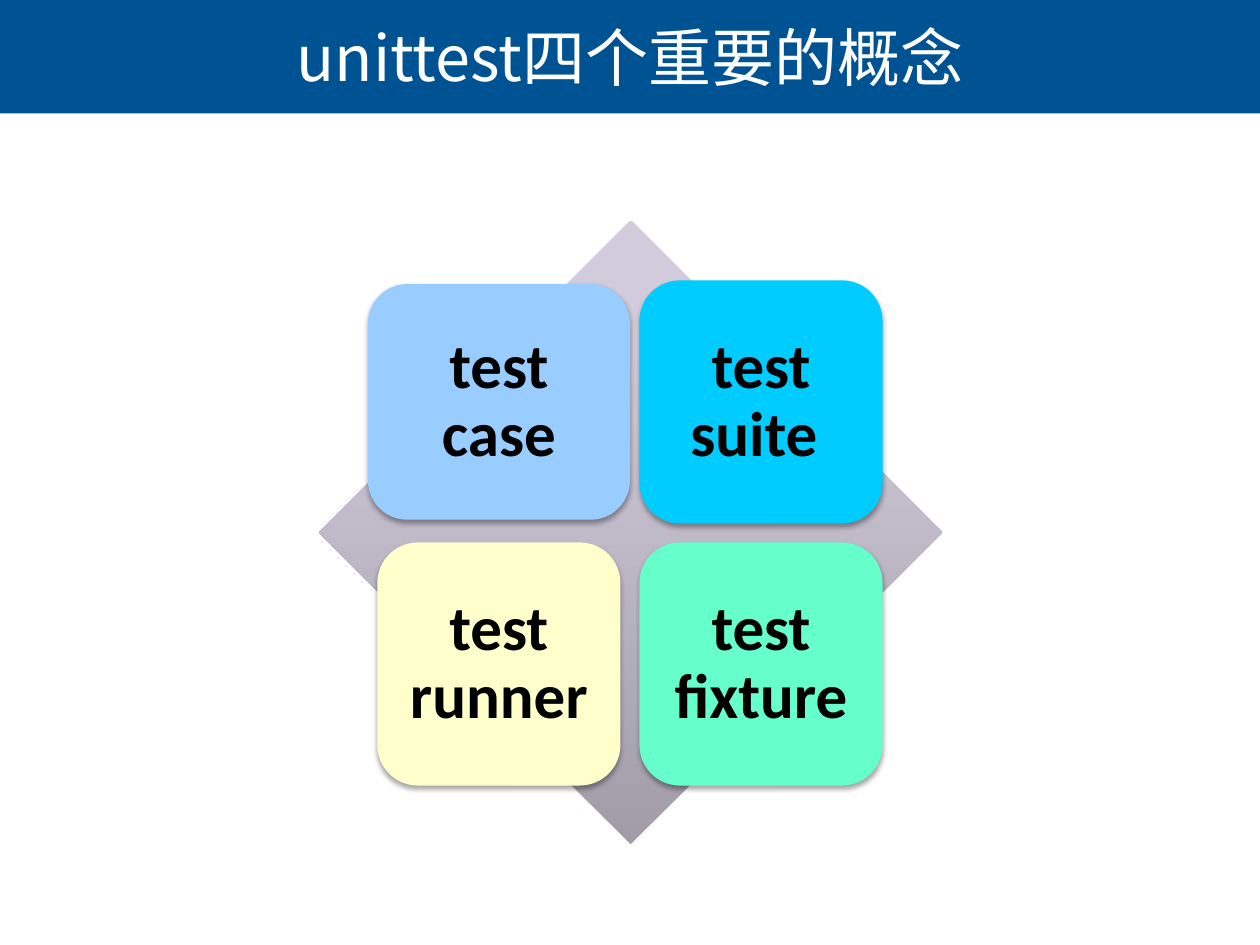
from dataclasses import dataclass

from lxml.etree import SubElement
from pptx import Presentation
from pptx.dml.color import RGBColor
from pptx.enum.shapes import MSO_SHAPE
from pptx.enum.text import MSO_ANCHOR, PP_ALIGN
from pptx.oxml.ns import qn
from pptx.util import Inches, Pt


@dataclass(frozen=True)
class Theme:
    banner: str = "005392"
    title: str = "FFFFFF"
    ink: str = "000000"
    diamond_dark: str = "A19CA8"
    diamond_light: str = "D1CBDB"
    title_font: str = "Noto Sans CJK SC"
    body_font: str = "Calibri"
    text_size: int = 36


THEME = Theme()

# Label, fill, centre x, centre y, width, height
CONCEPTS = [
    ("test case", "99CCFF", 3.96, 3.19, 2.08, 1.87),
    ("test suite ", "00CCFF", 6.04, 3.19, 1.93, 1.93),
    ("test runner ", "FFFFCC", 3.96, 5.27, 1.93, 1.93),
    ("test fixture", "66FFCC", 6.04, 5.27, 1.93, 1.93),
]


def add_plain_shape(s, kind, left, top, width, height, color=None):
    sp = s.shapes.add_shape(kind, Inches(left), Inches(top), Inches(width), Inches(height))
    sp.shadow.inherit = False
    sp.line.fill.background()
    if color:
        sp.fill.solid()
        sp.fill.fore_color.rgb = RGBColor.from_string(color)
    return sp


def set_text(sp, text, font, color, bold=False):
    tf = sp.text_frame
    tf.text = text
    tf.word_wrap = True
    tf.vertical_anchor = MSO_ANCHOR.MIDDLE
    p = tf.paragraphs[0]
    p.alignment = PP_ALIGN.CENTER
    r = p.runs[0]
    r.font.name = font
    r.font.size = Pt(THEME.text_size)
    r.font.bold = bold
    r.font.color.rgb = RGBColor.from_string(color)
    SubElement(r.font._element, qn("a:ea"), typeface=font)
    return tf


def add_soft_shadow(sp):
    effects = sp._element.spPr.find(qn("a:effectLst"))
    shadow = SubElement(effects, qn("a:outerShdw"), blurRad=str(Pt(3.1)),
                        dist=str(Pt(1.8)), dir="5400000", rotWithShape="0")
    color = SubElement(shadow, qn("a:srgbClr"), val=THEME.ink)
    SubElement(color, qn("a:alpha"), val="35000")


def add_banner(s, text):
    sp = add_plain_shape(s, MSO_SHAPE.RECTANGLE, 0, 0, 10, 0.9, THEME.banner)
    set_text(sp, text, THEME.title_font, THEME.title)


def add_diamond(s):
    sp = add_plain_shape(s, MSO_SHAPE.DIAMOND, 2.53, 1.75, 4.95, 4.95)
    sp.fill.gradient()
    sp.fill.gradient_angle = 90
    stops = [(0, THEME.diamond_dark), (0.8, THEME.diamond_light)]
    for stop, (position, color) in zip(sp.fill.gradient_stops, stops):
        stop.position = position
        stop.color.rgb = RGBColor.from_string(color)


def add_concept(s, label, color, cx, cy, width, height):
    sp = add_plain_shape(s, MSO_SHAPE.ROUNDED_RECTANGLE, cx - width / 2,
                         cy - height / 2, width, height, color)
    add_soft_shadow(sp)
    tf = set_text(sp, label, THEME.body_font, THEME.ink, bold=True)
    tf.margin_left = tf.margin_right = Inches(0.15)
    tf.margin_top = tf.margin_bottom = Inches(0.15)
    tf.paragraphs[0].line_spacing = 0.9


def main():
    prs = Presentation()
    prs.slide_width, prs.slide_height = Inches(10), Inches(7.5)
    s = prs.slides.add_slide(prs.slide_layouts[6])

    # Title banner
    add_banner(s, "unittest四个重要的概念")

    # Diamond backdrop with the four concepts on top
    add_diamond(s)
    for concept in CONCEPTS:
        add_concept(s, *concept)

    prs.save("out.pptx")


if __name__ == "__main__":
    main()
